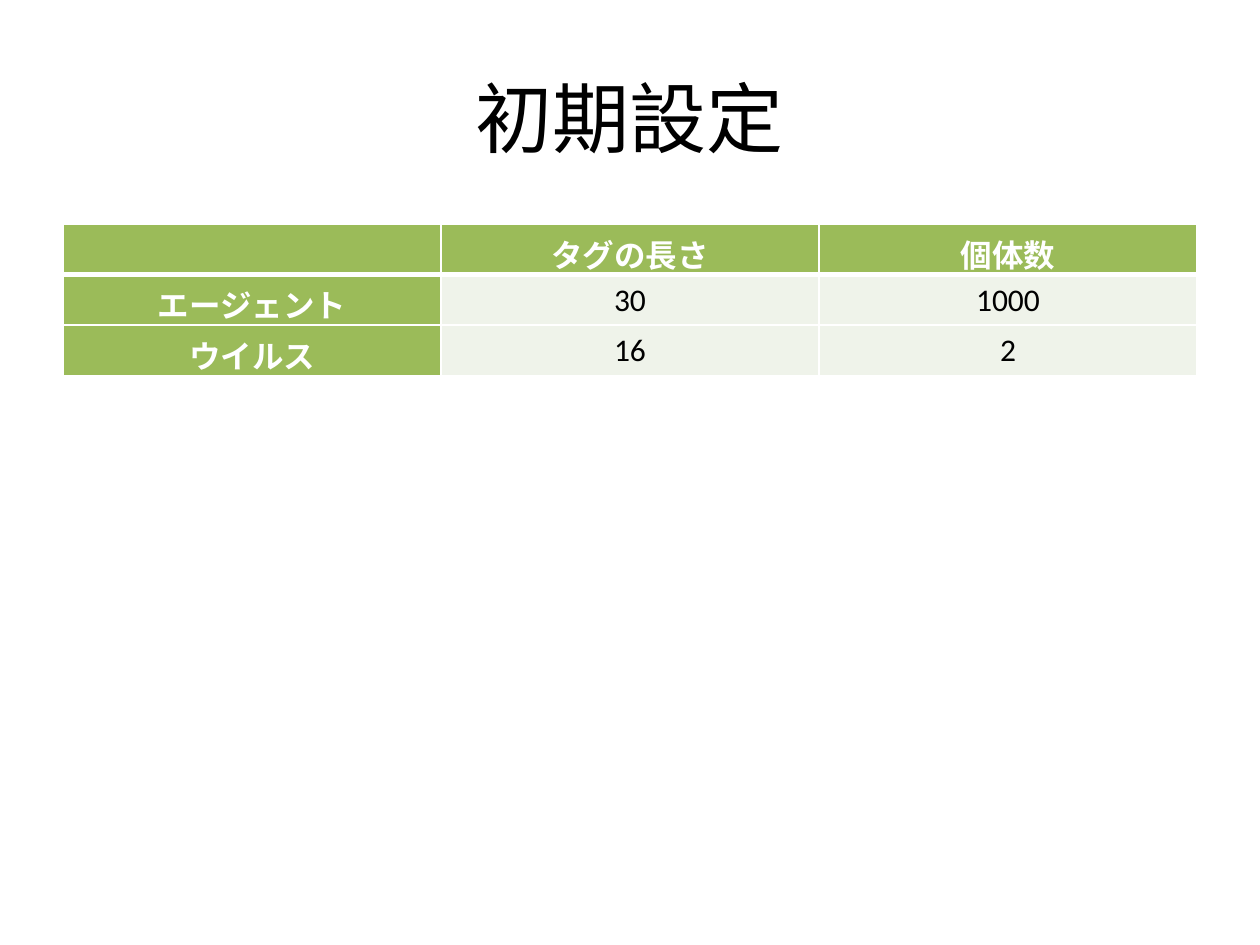
from dataclasses import dataclass

from lxml import etree
from pptx import Presentation
from pptx.dml.color import RGBColor
from pptx.enum.text import MSO_ANCHOR, PP_ALIGN
from pptx.oxml.ns import qn
from pptx.util import Inches, Pt

CENTER = PP_ALIGN.CENTER
MIDDLE = MSO_ANCHOR.MIDDLE
FONT = "Calibri"
WHITE, BLACK, GREEN, PALE = "FFFFFF", "000000", "9BBB59", "EFF3EA"
PAGE_WIDTH, PAGE_HEIGHT = Inches(10), Inches(7.5)
MARGIN = 0.05  # share of the page width

SETTINGS = [
    ["", "タグの長さ", "個体数"],
    ["エージェント", "30", "1000"],
    ["ウイルス", "16", "2"],
]


@dataclass(frozen=True)
class CellStyle:
    fill: str
    text: str
    bold: bool


HEADING = CellStyle(GREEN, WHITE, True)
VALUE = CellStyle(PALE, BLACK, False)


def color(value: str) -> RGBColor:
    return RGBColor.from_string(value)


def write(frame, text: str, size: int, text_color: str, bold: bool = False) -> None:
    frame.text = text
    para = frame.paragraphs[0]
    para.alignment = CENTER
    for font in [para.font, *(span.font for span in para.runs)]:
        font.name = FONT
        font.size = Pt(size)
        font.bold = bold
        font.color.rgb = color(text_color)


def add_borders(cell, bottom_width: int) -> None:
    """Draw white cell borders; they must come before the fill in the XML."""
    properties = cell._tc.get_or_add_tcPr()
    widths = {"a:lnL": 1, "a:lnR": 1, "a:lnT": 1, "a:lnB": bottom_width}
    for position, (tag, width) in enumerate(widths.items()):
        line = etree.Element(qn(tag), w=str(Pt(width)))
        fill = etree.SubElement(line, qn("a:solidFill"))
        etree.SubElement(fill, qn("a:srgbClr"), val=WHITE)
        properties.insert(position, line)


def add_title(page, text: str) -> None:
    box = page.shapes.add_textbox(
        int(PAGE_WIDTH * MARGIN), int(PAGE_HEIGHT * 0.04),
        int(PAGE_WIDTH * (1 - 2 * MARGIN)), Inches(1.25),
    )
    frame = box.text_frame
    frame.word_wrap = True
    frame.vertical_anchor = MIDDLE
    write(frame, text, 44, BLACK)


def add_settings_table(page, rows: list[list[str]]) -> None:
    table = page.shapes.add_table(
        len(rows), len(rows[0]),
        int(PAGE_WIDTH * MARGIN), Inches(1.78),
        int(PAGE_WIDTH * (1 - 2 * MARGIN)), Inches(0.4) * len(rows),
    ).table
    table.first_col = True
    table.horz_banding = False
    for row, texts in enumerate(rows):
        for column, text in enumerate(texts):
            cell = table.cell(row, column)
            style = HEADING if row == 0 or column == 0 else VALUE
            cell.fill.solid()
            cell.fill.fore_color.rgb = color(style.fill)
            # The header row is set off by a thicker line
            add_borders(cell, 3 if row == 0 else 1)
            write(cell.text_frame, text, 18, style.text, style.bold)


def main() -> None:
    deck = Presentation()
    deck.slide_width, deck.slide_height = PAGE_WIDTH, PAGE_HEIGHT
    page = deck.slides.add_slide(deck.slide_layouts[6])
    add_title(page, "初期設定")
    add_settings_table(page, SETTINGS)
    deck.save("out.pptx")


if __name__ == "__main__":
    main()
